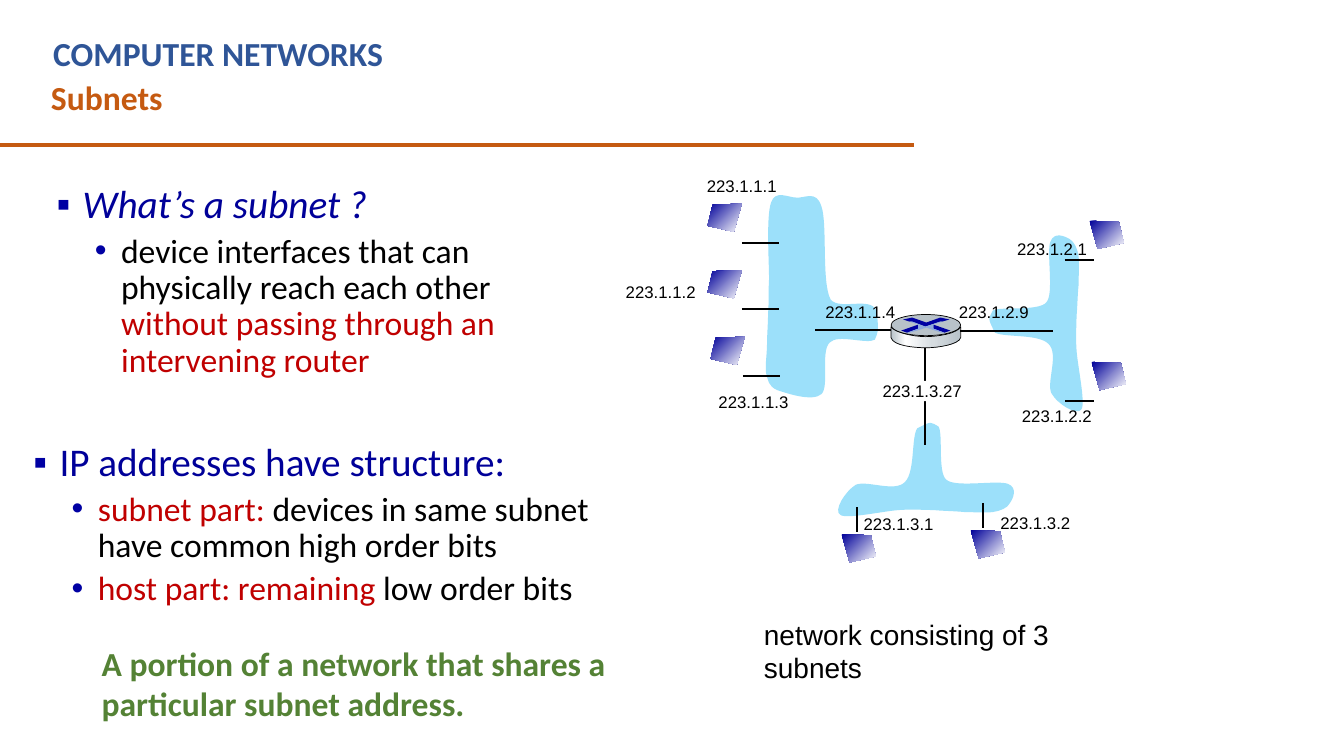
from copy import deepcopy
from lxml import etree
from pptx import Presentation
from pptx import util as u
from pptx.dml.color import RGBColor
from pptx.enum import shapes, text
from pptx.oxml.ns import qn

BLACK = RGBColor(0, 0, 0)
WHITE = RGBColor(255, 255, 255)
BLUE = RGBColor(0x2F, 0x55, 0x97)
RUST = RGBColor(0xC5, 0x5A, 0x11)
NAVY = RGBColor(0, 0, 0x99)
INK = RGBColor(0, 0, 0xA3)
RED = RGBColor(0xC0, 0, 0)
GREEN = RGBColor(0x54, 0x82, 0x35)
SKY = RGBColor(0x9C, 0xE0, 0xFA)
STEEL = RGBColor(0xB8, 0xC2, 0xC9)
SILVER = RGBColor(0xD6, 0xDC, 0xE0)
HAZE = RGBColor(0x8F, 0xAA, 0xDC)
GRID = 0.72

deck = Presentation()
deck.slide_width, deck.slide_height = u.Pt(960), u.Pt(540)
slide = deck.slides.add_slide(deck.slide_layouts[3])
tree = slide.shapes


def write(para, words, size, color, face="Calibri", bold=False, slant=False):
    run = para.add_run()
    run.text = words
    font = run.font
    font.name, font.size, font.bold, font.italic = face, u.Pt(size), bold, slant
    font.color.rgb = color


def trace(points, stops, bent=False, angle=0):
    spots = [(u.Pt(x * GRID), u.Pt(y * GRID)) for x, y in points]
    pen = tree.build_freeform(*spots[0], scale=1.0)
    pen.add_line_segments(spots[1:], close=True)
    form = pen.convert_to_shape()
    form.shadow.inherit = False
    form.line.fill.background()
    if bent:
        legs = form._element.spPr.findall(".//" + qn("a:lnTo"))
        for k in range(0, len(legs), 3):
            curve = etree.Element(qn("a:cubicBezTo"))
            legs[k].addprevious(curve)
            for leg in legs[k:k + 3]:
                curve.append(leg[0])
                leg.getparent().remove(leg)
    if len(stops) == 1:
        form.fill.solid()
        form.fill.fore_color.rgb = stops[0][1]
        return form
    form.fill.gradient()
    form.fill.gradient_angle = angle
    ramp = form._element.spPr.find(".//" + qn("a:gsLst"))
    while len(ramp) < len(stops):
        ramp.append(deepcopy(ramp[0]))
    for stop, (place, color) in zip(form.fill.gradient_stops, stops):
        stop.position = place
        stop.color.rgb = color
    return form


title = tree.title
title.left, title.top, title.width, title.height = map(u.Pt, (29.2, 51.12, 630, 36))
frame = title.text_frame
frame.auto_size = text.MSO_AUTO_SIZE.NONE
frame.vertical_anchor = text.MSO_ANCHOR.TOP
frame.paragraphs[0].alignment = text.PP_ALIGN.LEFT
write(frame.paragraphs[0], "Subnets", 24, RUST, bold=True)

lists = [
    ((33.2, 128.4, 357.12, 174.24), [
        (0, [("What’s a subnet ?", NAVY, True)]),
        (1, [("device interfaces that can physically reach each other ", BLACK, False),
             ("without passing through an intervening router", RED, False)])]),
    ((16.6, 312.7, 423.36, 137.52), [
        (0, [("IP addresses have structure:", NAVY, False)]),
        (1, [("subnet part: ", RED, False),
             ("devices in same subnet have common high order bits", BLACK, False)]),
        (1, [("host part: remaining", RED, False), (" low order bits", BLACK, False)])]),
]
for index, (area, items) in enumerate(lists, 1):
    body = slide.placeholders[index]
    body.left, body.top, body.width, body.height = map(u.Pt, area)
    frame = body.text_frame
    frame.auto_size = text.MSO_AUTO_SIZE.NONE
    for row, (level, runs) in enumerate(items):
        para = frame.add_paragraph() if row else frame.paragraphs[0]
        para.level = level
        props = para._p.get_or_add_pPr()
        props.set("marL", str(u.Pt((18.72, 46.08)[level])))
        props.set("indent", str(u.Pt(-18.72)))
        tint = etree.SubElement(props, qn("a:buClr"))
        etree.SubElement(tint, qn("a:srgbClr"), val=str(INK))
        etree.SubElement(props, qn("a:buFont"), typeface="Arial")
        etree.SubElement(props, qn("a:buChar"), char="▪•"[level])
        para.line_spacing = 0.9
        para.space_before = u.Pt(5 if row else 0)
        for words, color, slant in runs:
            write(para, words, (28, 24)[level], color, slant=slant)

clouds = [
    [(910, 425), (904, 434), (908, 468), (898, 478), (888, 489), (860, 476), (849, 481),
     (839, 487), (826, 507), (834, 511), (841, 515), (877, 507), (892, 506),
     (907, 505), (915, 506), (926, 506), (936, 507), (947, 507), (957, 508),
     (966, 508), (977, 509), (985, 508), (992, 507), (1000, 504), (1002, 499),
     (1005, 495), (1010, 484), (1000, 480), (989, 476), (948, 484), (939, 476),
     (930, 469), (936, 430), (931, 423), (923, 419), (925, 417), (910, 425)],
    [(987, 330), (996, 335), (1030, 331), (1040, 341), (1051, 351), (1038, 379), (1043, 390),
     (1049, 401), (1069, 413), (1073, 406), (1077, 399), (1069, 363), (1068, 347),
     (1067, 332), (1068, 324), (1068, 314), (1069, 303), (1069, 293), (1070, 283),
     (1070, 273), (1071, 262), (1070, 254), (1069, 247), (1066, 240), (1061, 237),
     (1057, 235), (1046, 229), (1042, 240), (1038, 250), (1046, 292), (1038, 300),
     (1031, 309), (992, 304), (985, 308), (981, 317), (979, 314), (987, 330)],
    [(870, 311), (868, 292), (833, 309), (824, 297), (815, 280), (821, 222), (815, 205),
     (810, 188), (798, 197), (790, 196), (782, 196), (769, 188), (765, 201),
     (760, 215), (763, 259), (763, 277), (762, 295), (763, 300), (762, 311),
     (762, 321), (761, 332), (761, 341), (761, 351), (759, 362), (760, 370),
     (762, 377), (762, 383), (771, 387), (780, 390), (806, 399), (815, 391),
     (823, 383), (814, 349), (823, 340), (831, 331), (860, 342), (868, 337),
     (871, 329), (872, 330), (870, 311)],
]
for cloud in clouds:
    trace(cloud, [(0, SKY)], bent=True)

links = [(-0.72, 103.68, 653.04, 103.68), (660.96, 248.4, 660.96, 317.52),
         (529.92, 173.52, 556.56, 173.52), (529.92, 220.5, 556.56, 220.5),
         (530.64, 268.56, 557.28, 268.56), (760.5, 185.76, 781.2, 185.76),
         (761.04, 286.56, 781.2, 286.56), (612, 362.16, 612, 380.16),
         (702, 359.28, 702, 377.28), (582.48, 235.6, 645.12, 235.6),
         (675.36, 236.16, 752.4, 236.16)]
for order, ends in enumerate(links):
    link = tree.add_connector(shapes.MSO_CONNECTOR.STRAIGHT, *map(u.Pt, ends))
    link.line.color.rgb = BLACK if order else RUST
    link.line.width = u.Pt(1.5 if order else 3)
    etree.SubElement(link._element.spPr, qn("a:effectLst"))

for area in ((447.12, 203.76, 65.52, 14.4), (627.84, 272.16, 66.96, 14.4)):
    patch = tree.add_shape(shapes.MSO_SHAPE.RECTANGLE, *map(u.Pt, area))
    patch.shadow.inherit = False
    patch.fill.solid()
    patch.fill.fore_color.rgb = WHITE
    patch.line.fill.background()

labels = [("1.1", 497.8, 121.68), ("1.2", 439.92, 197.6), ("1.3", 506.16, 276.1),
          ("1.4", 582.48, 211.68), ("2.9", 677.8, 211.68), ("2.2", 722.88, 286.56),
          ("2.1", 719.5, 167.04), ("3.2", 707.5, 362.88), ("3.1", 609.84, 363.6),
          ("3.27", 623.3, 268.56)]
notes = [("223.1." + tail, (x, y, 72 if len(tail) > 3 else 64.8, 21.6),
          12, BLACK, "Arial", False) for tail, x, y in labels]
notes += [
    ("COMPUTER NETWORKS", (30.96, 20.16, 590.4, 36), 24, BLUE, "Calibri", True),
    ("network consisting of 3 subnets", (538.56, 437.3, 293, 31), 20, BLACK, "Arial", False),
    ("A portion of a network that shares a particular subnet address.",
     (65.52, 455.76, 374.4, 65.52), 24, GREEN, "Calibri", True),
]
for words, area, size, color, face, bold in notes:
    box = tree.add_textbox(*map(u.Pt, area))
    box.text_frame.word_wrap = size > 12
    write(box.text_frame.paragraphs[0], words, size, color, face, bold)

hosts = [(736, 202, -1), (736, 268, -1), (739, 334, -1), (1081, 219, 1),
         (1083, 359, 1), (963, 526, 1), (835, 530, 1)]
for x, y, side in hosts:
    trace([(x + side * dx, y + dy) for dx, dy in ((0, 0), (29, 1), (34, 22), (8, 28))],
          [(0, NAVY), (1, WHITE)], angle=315)

base = trace([(953, 335), (951, 342), (930, 345), (919, 345), (907, 345), (886, 343),
              (884, 335), (884, 332), (884, 326), (884, 324), (887, 330), (907, 334),
              (918, 334), (930, 334), (950, 331), (953, 324)],
             [(0, STEEL), (0.21, WHITE), (0.6, SILVER), (1, STEEL)], bent=True)
lid = tree.add_shape(shapes.MSO_SHAPE.OVAL, *map(u.Pt, (636.48, 224.64, 49.68, 15.12)))
lid.shadow.inherit = False
lid.fill.solid()
lid.fill.fore_color.rgb = STEEL
for part in (base, lid):
    part.line.color.rgb = BLACK
    part.line.width = u.Pt(0.5)

marks = [
    ([(933, 315), (942, 317), (935, 319), (933, 319), (918, 324), (905, 319),
      (902, 319), (896, 317), (905, 315), (919, 320)], INK),
    ([(926, 322), (943, 328), (937, 330), (926, 326)], INK),
    ([(911, 322), (911, 326), (900, 330), (894, 328)], INK),
    ([(902, 319), (905, 319), (918, 324), (933, 319), (935, 319), (926, 322),
      (926, 326), (937, 330), (934, 330), (919, 325), (903, 330), (900, 330),
      (911, 326), (911, 322)], HAZE),
]
for mark, color in marks:
    trace(mark, [(0, color)])

deck.save("out.pptx")
